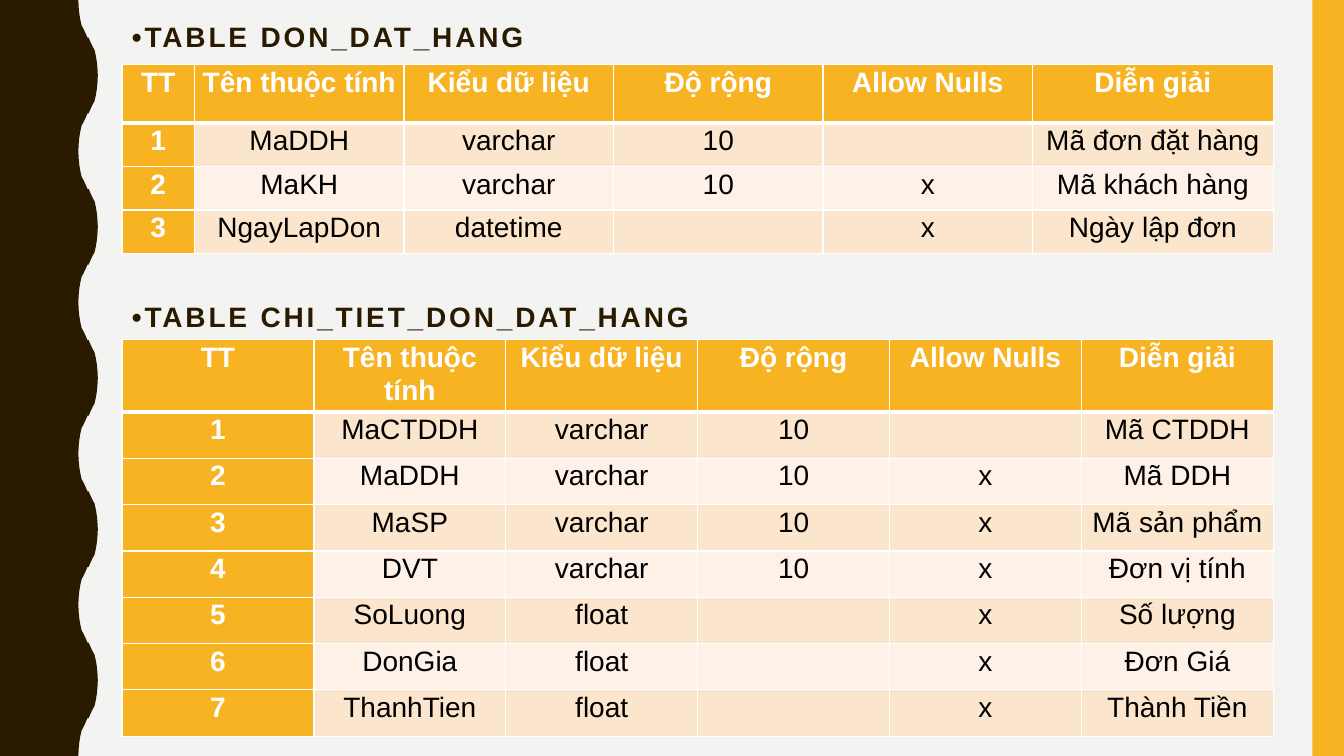
"""Builds a slide with two database table definitions beside a wavy band."""
from dataclasses import dataclass
from typing import Any

from lxml import etree
from pptx import Presentation, util as u
from pptx.dml import color
from pptx.enum import shapes, text
from pptx.oxml import ns


@dataclass(frozen=True)
class Theme:
    paper: str = "F3F3F2"
    dark: str = "2A1A00"
    accent: str = "F8B323"
    odd: str = "FCE5CD"
    even: str = "FEF2E8"
    light: str = "FFFFFF"
    ink: str = "000000"
    font: str = "Arial"
    size: int = 20
    tracking: int = 2
    thin: int = 1
    thick: int = 3


@dataclass(frozen=True)
class Section:
    """A heading and its table; vertical lengths are percent of slide height."""
    heading: str
    heading_top: float
    heading_height: float
    table_top: float
    header_height: float
    row_height: float
    weights: tuple[float, ...]
    rows: tuple[tuple[str, ...], ...]


THEME = Theme()
WIDTH, HEIGHT = u.Inches(13.333), u.Inches(7.5)
LEFT, SPAN = 9.08, 85.67
HEADER = ("TT", "Tên thuộc tính", "Kiểu dữ liệu", "Độ rộng", "Allow Nulls", "Diễn giải")
WAVES, WAVE_LEFT, WAVE_DEPTH = 5, 5.83, 1.45
QUARTER = ((0, 0), (0.02, 0.05), (0.05, 0.09), (0.1, 0.13),
           (0.17, 0.17), (0.26, 0.19), (0.37, 0.22), (0.47, 0.25))
SECTIONS = (
    Section("•TABLE DON_DAT_HANG", 2.4, 4.67, 8.53, 7.75, 5.75,
            (0.72, 2.08, 2.08, 2.08, 2.08, 2.39), (
                ("MaDDH", "varchar", "10", "", "Mã đơn đặt hàng"),
                ("MaKH", "varchar", "10", "x", "Mã khách hàng"),
                ("NgayLapDon", "datetime", "", "x", "Ngày lập đơn"))),
    Section("•TABLE CHI_TIET_DON_DAT_HANG", 39.47, 5.33, 44.93, 9.57, 6.13,
            (1, 1, 1, 1, 1, 1), (
                ("MaCTDDH", "varchar", "10", "", "Mã CTDDH"),
                ("MaDDH", "varchar", "10", "x", "Mã DDH"),
                ("MaSP", "varchar", "10", "x", "Mã sản phẩm"),
                ("DVT", "varchar", "10", "x", "Đơn vị tính"),
                ("SoLuong", "float", "", "x", "Số lượng"),
                ("DonGia", "float", "", "x", "Đơn Giá"),
                ("ThanhTien", "float", "", "x", "Thành Tiền"))),
)


def across(percent: float) -> int:
    return round(WIDTH * percent / 100)


def down(percent: float) -> int:
    return round(HEIGHT * percent / 100)


def apply(target: Any, values: dict[str, Any]) -> None:
    for name, value in values.items():
        setattr(target, name, value)


def paint(fill: Any, rgb: str) -> None:
    fill.solid()
    fill.fore_color.rgb = color.RGBColor.from_string(rgb)


def write(tf: Any, words: str, rgb: str, bold: bool, paragraph: dict[str, Any]) -> Any:
    p = tf.paragraphs[0]
    apply(p, paragraph)
    r = p.add_run()
    r.text = words
    apply(r.font, {"name": THEME.font, "size": u.Pt(THEME.size), "bold": bold})
    r.font.color.rgb = color.RGBColor.from_string(rgb)
    return r


def finish(sp: Any, rgb: str) -> None:
    sp.shadow.inherit = False
    sp.line.fill.background()
    paint(sp.fill, rgb)


def draw_bands(s: Any) -> None:
    rise = list(QUARTER) + [(1 - x, 0.5 - y) for x, y in reversed(QUARTER)]
    wave = rise + [(x, 1 - y) for x, y in reversed(rise)]
    edge = [(across(WAVE_LEFT + WAVE_DEPTH * x), down((n + y) * 100 / WAVES))
            for n in range(WAVES) for x, y in wave]
    builder = s.shapes.build_freeform(0, 0, scale=1.0)
    builder.add_line_segments(edge + [(0, HEIGHT)], close=True)
    finish(builder.convert_to_shape(), THEME.dark)
    left = across(97.66)
    finish(s.shapes.add_shape(shapes.MSO_SHAPE.RECTANGLE, left, 0, WIDTH - left, HEIGHT),
           THEME.accent)


def draw_heading(s: Any, section: Section) -> None:
    sp = s.shapes.add_textbox(across(LEFT), down(section.heading_top),
                              across(SPAN), down(section.heading_height))
    tf = sp.text_frame
    apply(tf, {"word_wrap": True, "vertical_anchor": text.MSO_ANCHOR.TOP})
    r = write(tf, section.heading, THEME.dark, True, {"line_spacing": 0.9})
    r.font.size = u.Pt(THEME.size)
    r._r.get_or_add_rPr().set("spc", str(THEME.tracking * 100))


def add_borders(cell: Any, row: int) -> None:
    tc_pr = cell._tc.get_or_add_tcPr()
    widths = {"lnL": THEME.thin, "lnR": THEME.thin,
              "lnT": THEME.thick if row == 1 else THEME.thin,
              "lnB": THEME.thick if row == 0 else THEME.thin}
    for tag, width in widths.items():
        ln = etree.SubElement(tc_pr, ns.qn(f"a:{tag}"), w=str(u.Pt(width)))
        fill = etree.SubElement(ln, ns.qn("a:solidFill"))
        etree.SubElement(fill, ns.qn("a:srgbClr"), val=THEME.light)


def draw_table(s: Any, section: Section) -> None:
    rows = [HEADER] + [(str(n), *row) for n, row in enumerate(section.rows, 1)]
    heights = [section.header_height] + [section.row_height] * len(section.rows)
    table = s.shapes.add_table(len(rows), len(HEADER), across(LEFT), down(section.table_top),
                               across(SPAN), down(sum(heights))).table
    for column, weight in zip(table.columns, section.weights):
        column.width = across(SPAN * weight / sum(section.weights))
    for i, (row, height) in enumerate(zip(rows, heights)):
        table.rows[i].height = down(height)
        for j, words in enumerate(row):
            cell = table.cell(i, j)
            label = i == 0 or j == 0
            add_borders(cell, i)
            paint(cell.fill, THEME.accent if label else THEME.odd if i % 2 else THEME.even)
            apply(cell, {"margin_left": u.Inches(0.07), "margin_right": u.Inches(0.07),
                         "margin_top": 0, "margin_bottom": 0})
            if words:
                write(cell.text_frame, words, THEME.light if label else THEME.ink, label,
                      {"alignment": text.PP_ALIGN.CENTER, "line_spacing": 1.07})


def main() -> None:
    prs = Presentation()
    apply(prs, {"slide_width": WIDTH, "slide_height": HEIGHT})
    s = prs.slides.add_slide(prs.slide_layouts[6])
    paint(s.background.fill, THEME.paper)
    draw_bands(s)
    for section in SECTIONS:
        draw_heading(s, section)
        draw_table(s, section)
    prs.save("out.pptx")


if __name__ == "__main__":
    main()
